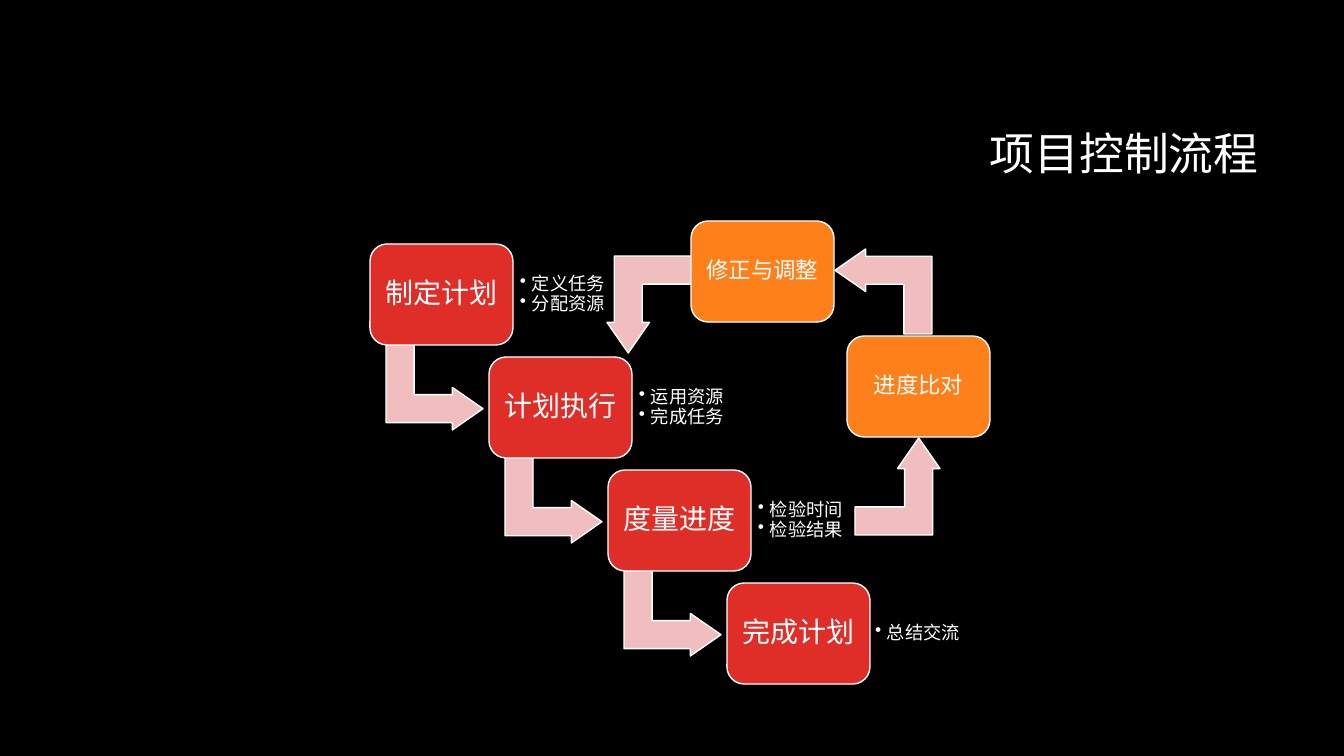
from lxml import etree
from pptx import Presentation
from pptx.dml.color import RGBColor
from pptx.enum.shapes import MSO_SHAPE as Shape
from pptx.enum.text import MSO_ANCHOR as Anchor, MSO_AUTO_SIZE as AutoSize, PP_ALIGN as Align
from pptx.oxml.ns import qn
from pptx.util import Pt

PX = 914400 / 100.8
FONT = "Noto Sans CJK SC"
COLORS = {
    "background": "000000",
    "white": "FFFFFF",
    "plan": "DF2E28",
    "feedback": "FE801A",
    "arrow": "F0BEBE",
}


def px(*lengths):
    return [round(length * PX) for length in lengths]


def color(name):
    return RGBColor.from_string(COLORS[name])


def write(frame, text, *, size, align=Align.LEFT, inset=None, bullet=False):
    """Fill a text frame, one paragraph per line of text."""
    frame.word_wrap = True
    frame.auto_size = AutoSize.NONE
    frame.vertical_anchor = Anchor.MIDDLE
    if inset is not None:
        frame.margin_left = frame.margin_top = px(inset)[0]
        frame.margin_right = frame.margin_bottom = px(inset)[0]
    for index, line in enumerate(text.split("\n")):
        paragraph = frame.paragraphs[0] if index == 0 else frame.add_paragraph()
        paragraph.alignment = align
        paragraph.line_spacing = 0.9
        if bullet:
            indent = px(12)[0]
            properties = paragraph._p.get_or_add_pPr()
            properties.set("marL", str(indent))
            properties.set("indent", str(-indent))
            etree.SubElement(properties, qn("a:buChar"), char="•")
        run = paragraph.add_run()
        run.text = line
        run.font.size = Pt(size)
        run.font.name = FONT
        run.font.color.rgb = color("white")
        etree.SubElement(run._r.get_or_add_rPr(), qn("a:ea"), typeface=FONT)


class FlowSlide:
    BOX = (143, 101)
    ARROW = (85, 97)
    NOTE = (104, 81)

    def __init__(self, presentation):
        self.slide = presentation.slides.add_slide(presentation.slide_layouts[5])
        fill = self.slide.background.fill
        fill.solid()
        fill.fore_color.rgb = color("background")

    def title(self, text, left, top, width, height):
        title = self.slide.shapes.title
        title.left, title.top, title.width, title.height = px(left, top, width, height)
        write(title.text_frame, text, size=32, align=Align.RIGHT)

    def outlined(self, kind, left, top, size, fill, adjustments):
        shape = self.slide.shapes.add_shape(kind, *px(left, top, *size))
        shape.shadow.inherit = False
        shape.fill.solid()
        shape.fill.fore_color.rgb = color(fill)
        shape.line.color.rgb = color("white")
        shape.line.width = Pt(1)
        for index, value in enumerate(adjustments):
            shape.adjustments[index] = value
        return shape

    def arrow(self, left, top, rotation=0):
        shape = self.outlined(Shape.BENT_UP_ARROW, left, top, self.ARROW,
                              "arrow", (0.33, 0.25, 0.36))
        shape.rotation = rotation

    def box(self, text, left, top, fill, size):
        shape = self.outlined(Shape.ROUNDED_RECTANGLE, left, top, self.BOX, fill, (0.17,))
        write(shape.text_frame, text, size=size, align=Align.CENTER, inset=8)

    def note(self, text, left, top, inset):
        note = self.slide.shapes.add_textbox(*px(left, top, *self.NOTE))
        write(note.text_frame, text, size=13, inset=inset, bullet=True)


def main():
    presentation = Presentation()
    presentation.slide_width, presentation.slide_height = px(1344, 756)
    flow = FlowSlide(presentation)
    flow.title("项目控制流程", 320, 85, 949, 142)

    # Descending steps with their tasks
    steps = [
        ("制定计划", "定义任务\n分配资源"),
        ("计划执行", "运用资源\n完成任务"),
        ("度量进度", "检验时间\n检验结果"),
        ("完成计划", "总结交流"),
    ]
    for index, (step, tasks) in enumerate(steps):
        left, top = 370 + 119 * index, 244 + 113 * index
        is_last = index == len(steps) - 1
        if not is_last:
            flow.arrow(left + 22, top + 95, rotation=90)
        flow.box(step, left, top, "plan", 20)
        flow.note(tasks, left + 143, top + 10, inset=5 if is_last else 7)

    # Feedback loop back to execution
    flow.box("进度比对", 847, 336, "feedback", 16)
    for left, top, rotation in [(855, 438, 0), (841, 243, 270), (607, 256, 180)]:
        flow.arrow(left, top, rotation)
    flow.box("修正与调整", 691, 221, "feedback", 16)

    presentation.save("out.pptx")


if __name__ == "__main__":
    main()
